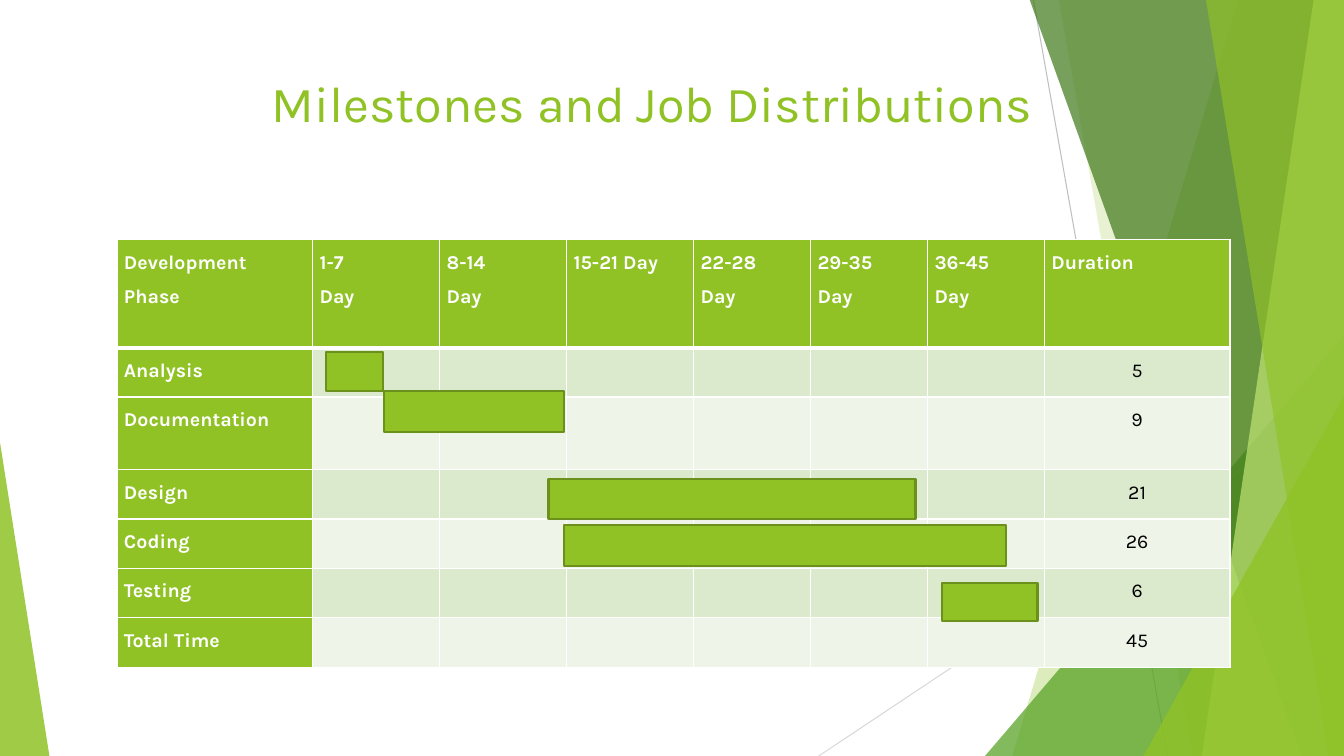
"""Build the milestones slide: facets, title, phase table and job bars."""
from dataclasses import dataclass
from typing import Any

from pptx import Presentation, util as u
from pptx.dml.color import RGBColor
from pptx.enum import shapes, text
from pptx.oxml.ns import qn
from pptx.oxml.xmlchemy import OxmlElement


@dataclass(frozen=True)
class Theme:
    font: str = "Karla"
    title: int = 36
    body: int = 14
    green: str = "90C226"
    edge: str = "6B901C"
    leaf: str = "54A021"
    forest: str = "3F7819"
    lime: str = "C0E474"
    white: str = "FFFFFF"
    black: str = "000000"
    bands: tuple[str, str] = ("DBE9CD", "EEF4E8")


@dataclass(frozen=True)
class Box:
    left: int
    top: int
    width: int
    height: int


@dataclass(frozen=True)
class Line:
    start: tuple[int, int]
    end: tuple[int, int]
    color: str


@dataclass(frozen=True)
class Facet:
    top: int
    base: int
    color: str
    alpha: int


@dataclass(frozen=True)
class Wedge:
    box: Box
    apex: int
    color: str
    alpha: int


@dataclass(frozen=True)
class Phase:
    name: str
    days: int
    height: int = 49


THEME = Theme()
WIDE, HIGH = 1333, 750
LINES = [
    Line((1025, 0), (1158, HIGH), "BFBFBF"),
    Line((WIDE, 403), (812, HIGH), "D9D9D9"),
]
FACETS = [
    Facet(1228, 1004, THEME.green, 30),
    Facet(1050, 1183, THEME.green, 20),
    Wedge(Box(977, 333, 356, 417), 1, THEME.leaf, 72),
    Facet(1021, 1291, THEME.forest, 70),
    Facet(1303, 1192, THEME.lime, 70),
    Facet(1196, 1318, THEME.green, 65),
    Wedge(Box(1134, 393, 199, 357), 1, THEME.green, 80),
    Wedge(Box(0, 439, 49, 311), 0, THEME.green, 85),
]
TITLE = Box(74, 67, 1146, 144)
GRID = Box(116, 238, 1104, 424)
WIDTHS = [194, 126, 126, 126, 116, 116, 116, 184]
HEADS = ["Development\nPhase", "1-7\nDay", "8-14\nDay", "15-21 Day",
         "22-28\nDay", "29-35\nDay", "36-45\nDay", "Duration"]
HEAD_HIGH = 107
PHASES = [
    Phase("Analysis", 5),
    Phase("Documentation", 9, 72),
    Phase("Design", 21),
    Phase("Coding", 26),
    Phase("Testing", 6),
    Phase("Total Time", 45),
]
BARS = [
    Box(323, 349, 57, 39),
    Box(381, 388, 178, 41),
    Box(544, 475, 364, 40),
    Box(559, 521, 439, 41),
    Box(934, 578, 95, 38),
]


def px(value: int) -> u.Emu:
    return u.Emu(value * 9144)


def place(box: Box) -> list[u.Emu]:
    return [px(n) for n in (box.left, box.top, box.width, box.height)]


def put(item: Any, form: dict[str, Any]) -> None:
    for name, value in form.items():
        setattr(item, name, value)


def tint(fill: Any, color: str) -> None:
    fill.solid()
    fill.fore_color.rgb = RGBColor.from_string(color)


def paint(shape: Any, color: str, alpha: int = 100) -> None:
    shape.shadow.inherit = False
    tint(shape.fill, color)
    shape.line.fill.background()
    if alpha < 100:
        mark = OxmlElement("a:alpha")
        mark.set("val", str(alpha * 1000))
        shape.element.spPr.find(qn("a:solidFill"))[0].append(mark)


def write(frame: Any, words: str, size: int, color: str, bold: bool = False,
          form: dict[str, Any] | None = None) -> None:
    for spot, line in enumerate(words.split("\n")):
        para = frame.add_paragraph() if spot else frame.paragraphs[0]
        put(para, form or {})
        run = para.add_run()
        run.text = line
        put(run.font, {"name": THEME.font, "size": u.Pt(size), "bold": bold})
        run.font.color.rgb = RGBColor.from_string(color)


def draw_line(slide: Any, line: Line) -> None:
    ends = [px(n) for n in line.start + line.end]
    link = slide.shapes.add_connector(shapes.MSO_CONNECTOR.STRAIGHT, *ends)
    tint(link.line.fill, line.color)
    link.line.width = u.Pt(0.75)
    link.element.spPr.append(OxmlElement("a:effectLst"))


def draw_facet(slide: Any, facet: Facet) -> None:
    pen = slide.shapes.build_freeform(facet.top, -1, scale=float(px(1)))
    pen.add_line_segments([(WIDE, -1), (WIDE, HIGH), (facet.base, HIGH)])
    paint(pen.convert_to_shape(), facet.color, facet.alpha)


def draw_wedge(slide: Any, wedge: Wedge) -> None:
    kind = shapes.MSO_SHAPE.ISOSCELES_TRIANGLE
    shape = slide.shapes.add_shape(kind, *place(wedge.box))
    shape.adjustments[0] = wedge.apex
    paint(shape, wedge.color, wedge.alpha)


def draw_title(slide: Any) -> None:
    frame = slide.shapes.add_textbox(*place(TITLE)).text_frame
    put(frame, {"word_wrap": True, "vertical_anchor": text.MSO_ANCHOR.TOP})
    write(frame, "Milestones and Job Distributions", THEME.title, THEME.green,
          form={"alignment": text.PP_ALIGN.CENTER})


def rule(cell: Any, side: str, width: float) -> None:
    edge = OxmlElement(f"a:ln{side}")
    edge.set("w", str(u.Pt(width)))
    fill, color = OxmlElement("a:solidFill"), OxmlElement("a:srgbClr")
    color.set("val", THEME.white)
    fill.append(color)
    edge.append(fill)
    cell._tc.get_or_add_tcPr().append(edge)


def draw_cell(cell: Any, row: int, col: int, words: str) -> None:
    thick = {(0, "B"), (1, "T")}
    for side in "LRTB":
        rule(cell, side, 3 if (row, side) in thick else 1)
    head = row == 0 or col == 0
    tint(cell.fill, THEME.green if head else THEME.bands[(row - 1) % 2])
    put(cell, {"margin_left": px(7), "margin_right": px(7),
               "margin_top": 0, "margin_bottom": 0})
    if words:
        align = text.PP_ALIGN.LEFT if head else text.PP_ALIGN.CENTER
        write(cell.text_frame, words, THEME.body,
              THEME.white if head else THEME.black, head,
              {"alignment": align, "line_spacing": 1.5})


def draw_table(slide: Any) -> None:
    gaps = [""] * (len(HEADS) - 2)
    rows = [HEADS] + [[p.name, *gaps, str(p.days)] for p in PHASES]
    table = slide.shapes.add_table(len(rows), len(HEADS), *place(GRID)).table
    put(table, {"first_row": False, "horz_banding": False})
    for col, width in zip(table.columns, WIDTHS):
        col.width = px(width)
    for row, height in zip(table.rows, [HEAD_HIGH] + [p.height for p in PHASES]):
        row.height = px(height)
    for r, row in enumerate(rows):
        for c, words in enumerate(row):
            draw_cell(table.cell(r, c), r, c, words)


def draw_bar(slide: Any, box: Box) -> None:
    bar = slide.shapes.add_shape(shapes.MSO_SHAPE.RECTANGLE, *place(box))
    paint(bar, THEME.green)
    tint(bar.line.fill, THEME.edge)
    bar.line.width = u.Pt(1.5)


def main() -> None:
    deck = Presentation()
    put(deck, {"slide_width": px(WIDE), "slide_height": px(HIGH)})
    slide = deck.slides.add_slide(deck.slide_layouts[6])
    for line in LINES:
        draw_line(slide, line)
    for part in FACETS:
        draw = draw_facet if isinstance(part, Facet) else draw_wedge
        draw(slide, part)
    draw_title(slide)
    draw_table(slide)
    for box in BARS:
        draw_bar(slide, box)
    deck.save("out.pptx")


if __name__ == "__main__":
    main()
